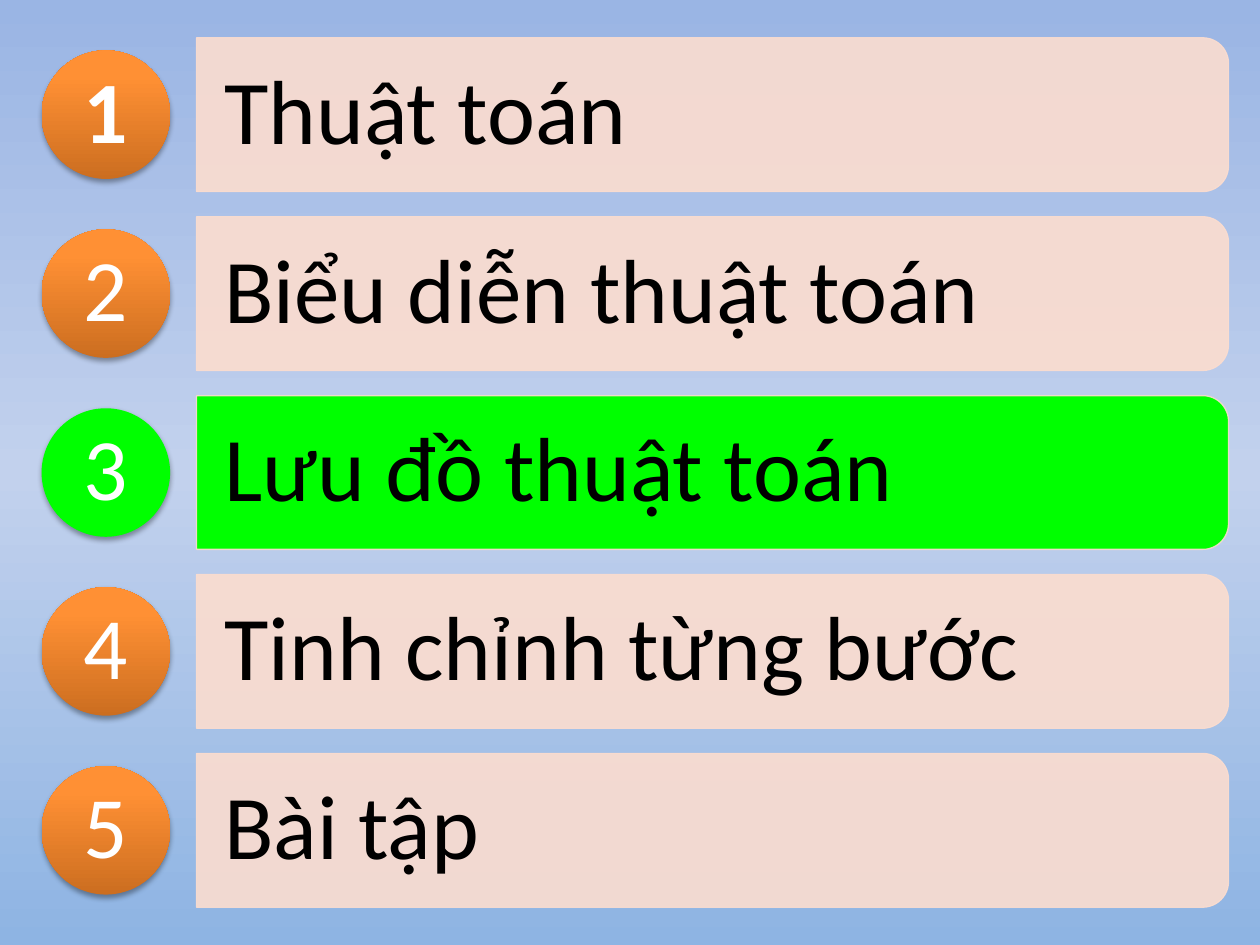
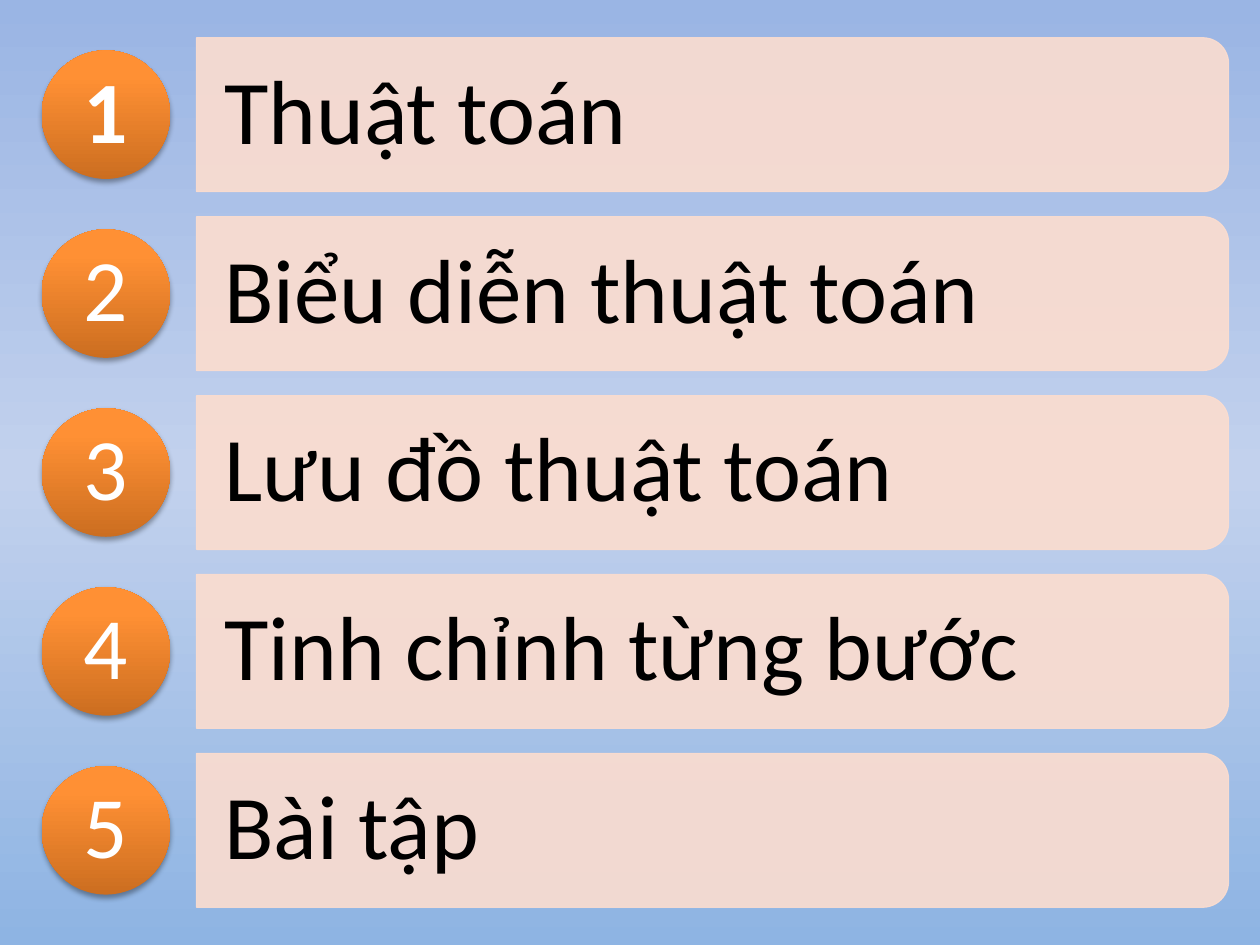
"""Build two agenda slides of five numbered chapters, the first with chapter three highlighted."""
from dataclasses import dataclass
from typing import NamedTuple, Optional

from lxml.etree import SubElement
from pptx import Presentation
from pptx.dml.color import RGBColor
from pptx.dml.fill import FillFormat
from pptx.enum.shapes import MSO_SHAPE
from pptx.enum.text import MSO_ANCHOR, PP_ALIGN
from pptx.oxml.ns import qn
from pptx.oxml.xmlchemy import BaseOxmlElement
from pptx.shapes.autoshape import Shape
from pptx.slide import Slide
from pptx.util import Inches, Pt


class Box(NamedTuple):
    cx: float
    cy: float
    w: float
    h: float

    def emu(self) -> tuple[int, int, int, int]:
        return (Inches(self.cx - self.w / 2), Inches(self.cy - self.h / 2),
                Inches(self.w), Inches(self.h))


class Chapter(NamedTuple):
    title: str
    bold_number: bool = False


@dataclass(frozen=True)
class Theme:
    font: str = "Calibri"
    title_size: int = 52
    number_size: int = 50
    ink: str = "000000"
    number_ink: str = "FFFFFF"
    bar: str = "FCDDCF"
    bar_alpha: int = 90
    active: str = "00FF00"
    shadow: str = "000000"
    shadow_alpha: int = 35
    sky: tuple = ((0, "9AB5E4"), (50, "C2D1ED"), (100, "8EB4E3"))
    badge: tuple = ((0, "CC6E20"), (80, "FF9034"), (100, "FF9136"))


@dataclass(frozen=True)
class Grid:
    width: float = 10
    height: float = 7.5
    pitch: float = 1.42
    badge_cx: float = 0.84
    badge_size: float = 1.02
    number_size: float = 0.72
    bar_left: float = 1.56
    bar_width: float = 8.19
    bar_height: float = 1.22
    title_width: float = 8.13
    title_height: float = 1.1

    def row_centre(self, row: int, count: int) -> float:
        return self.height / 2 + (row - (count - 1) / 2) * self.pitch


THEME = Theme()
GRID = Grid()
CHAPTERS = (
    Chapter("Thuật toán", bold_number=True),
    Chapter("Biểu diễn thuật toán"),
    Chapter("Lưu đồ thuật toán"),
    Chapter("Tinh chỉnh từng bước"),
    Chapter("Bài tập"),
)
ACTIVE_CHAPTERS = (3, None)


def set_gradient(fill: FillFormat, owner: BaseOxmlElement, stops: tuple, angle: int) -> None:
    fill.gradient()
    fill.gradient_angle = angle
    gs_lst = owner.find(".//" + qn("a:gsLst"))
    for gs in list(gs_lst):
        gs_lst.remove(gs)
    for share, color in stops:
        gs = SubElement(gs_lst, qn("a:gs"), pos=str(share * 1000))
        SubElement(gs, qn("a:srgbClr"), val=color)


def set_alpha(owner: BaseOxmlElement, percent: int) -> None:
    for clr in owner.iter(qn("a:srgbClr")):
        SubElement(clr, qn("a:alpha"), val=str(percent * 1000))


def set_solid(fill: FillFormat, color: str) -> None:
    fill.solid()
    fill.fore_color.rgb = RGBColor.from_string(color)


def add_shadow(sp: Shape) -> None:
    effects = sp.element.spPr.find(qn("a:effectLst"))
    shadow = SubElement(effects, qn("a:outerShdw"), blurRad=str(Pt(3.1)), dist=str(Pt(1.8)),
                        dir="5400000", rotWithShape="0")
    SubElement(shadow, qn("a:srgbClr"), val=THEME.shadow)
    set_alpha(shadow, THEME.shadow_alpha)


def add_text(slide: Slide, text: str, box: Box, *, size: int, color: str, bold: bool = False,
             align: PP_ALIGN = PP_ALIGN.LEFT, inset_x: float = 0, inset_y: float = 0) -> None:
    tf = slide.shapes.add_textbox(*box.emu()).text_frame
    tf.word_wrap = True
    tf.vertical_anchor = MSO_ANCHOR.MIDDLE
    tf.margin_left = tf.margin_right = Inches(inset_x)
    tf.margin_top = tf.margin_bottom = Inches(inset_y)
    p = tf.paragraphs[0]
    p.alignment = align
    p.line_spacing = 0.9
    r = p.add_run()
    r.text = text
    r.font.name = THEME.font
    r.font.size = Pt(size)
    r.font.bold = bold
    r.font.color.rgb = RGBColor.from_string(color)


def add_bar(slide: Slide, cy: float, active: bool) -> None:
    box = Box(GRID.bar_left + GRID.bar_width / 2, cy, GRID.bar_height, GRID.bar_width)
    sp = slide.shapes.add_shape(MSO_SHAPE.ROUND_2_SAME_RECTANGLE, *box.emu())
    sp.rotation = 90
    sp.shadow.inherit = False
    set_solid(sp.fill, THEME.active if active else THEME.bar)
    set_solid(sp.line.fill, THEME.bar)
    sp.line.width = Pt(0.75)
    spPr = sp.element.spPr
    set_alpha(spPr.find(qn("a:ln")) if active else spPr, THEME.bar_alpha)


def add_badge(slide: Slide, cy: float, active: bool) -> None:
    box = Box(GRID.badge_cx, cy, GRID.badge_size, GRID.badge_size)
    sp = slide.shapes.add_shape(MSO_SHAPE.OVAL, *box.emu())
    sp.shadow.inherit = False
    sp.line.fill.background()
    if active:
        set_solid(sp.fill, THEME.active)
    else:
        set_gradient(sp.fill, sp.element, THEME.badge, angle=90)
    add_shadow(sp)


def add_chapter(slide: Slide, number: int, chapter: Chapter, active: bool) -> None:
    cy = GRID.row_centre(number - 1, len(CHAPTERS))
    add_bar(slide, cy, active)
    title_box = Box(GRID.bar_left + GRID.title_width / 2, cy, GRID.title_width, GRID.title_height)
    add_text(slide, chapter.title, title_box, size=THEME.title_size, color=THEME.ink,
             inset_x=0.22, inset_y=0.14)
    add_badge(slide, cy, active)
    add_text(slide, str(number), Box(GRID.badge_cx, cy, GRID.number_size, GRID.number_size),
             size=THEME.number_size, color=THEME.number_ink, bold=chapter.bold_number,
             align=PP_ALIGN.CENTER)


def add_agenda(prs: Presentation, active_number: Optional[int]) -> None:
    slide = prs.slides.add_slide(prs.slide_layouts[6])
    for number, chapter in enumerate(CHAPTERS, start=1):
        add_chapter(slide, number, chapter, number == active_number)


def main() -> None:
    prs = Presentation()
    prs.slide_width = Inches(GRID.width)
    prs.slide_height = Inches(GRID.height)
    master = prs.slide_master
    set_gradient(master.background.fill, master.element, THEME.sky, angle=270)
    for active_number in ACTIVE_CHAPTERS:
        add_agenda(prs, active_number)
    prs.save("out.pptx")


if __name__ == "__main__":
    main()
